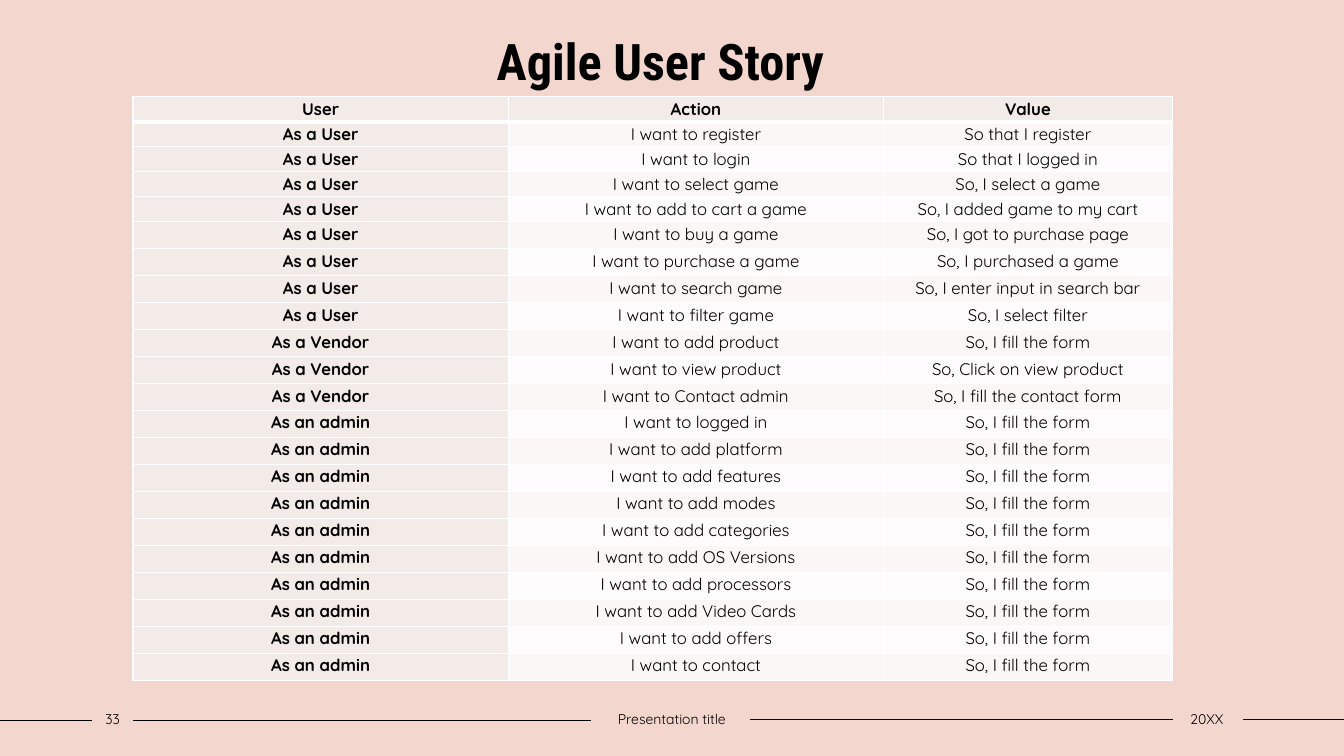
from typing import NamedTuple

from lxml.etree import SubElement
from pptx import Presentation
from pptx.dml.color import RGBColor
from pptx.enum.shapes import MSO_CONNECTOR
from pptx.enum.text import MSO_ANCHOR, MSO_AUTO_SIZE, PP_ALIGN
from pptx.oxml.ns import qn
from pptx.util import Cm, Pt

BODY_FONT = "Quicksand"
TITLE_FONT = "Roboto Condensed"
BLACK, WHITE, PINK = "000000", "FFFFFF", "F3D6CD"
HEADING_FILL = "F3EBE8"
BAND_FILLS = ("FDFBFB", "FAF7F6")
FORM = "So, I fill the form"


class Story(NamedTuple):
    user: str
    action: str
    value: str


class FooterLine(NamedTuple):
    start: float
    end: float
    y: float


class Label(NamedTuple):
    text: str
    left: float
    top: float
    width: float
    height: float
    size: float
    font: str = BODY_FONT
    bold: bool = False


HEADER = Story("User", "Action", "Value")
USER_STORIES = [
    Story("As a User", action, value)
    for action, value in (
        ("I want to register", "So that I register"),
        ("I want to login", "So that I logged in"),
        ("I want to select game", "So, I select a game"),
        ("I want to add to cart a game", "So, I added game to my cart"),
        ("I want to buy a game", "So, I got to purchase page"),
        ("I want to purchase a game", "So, I purchased a game"),
        ("I want to search game", "So, I enter input in search bar"),
        ("I want to filter game", "So, I select filter"),
    )
]
VENDOR_STORIES = [
    Story("As a Vendor", "I want to add product", FORM),
    Story("As a Vendor", "I want to view product", "So, Click on view product"),
    Story("As a Vendor", "I want to Contact admin", "So, I fill the contact form"),
]
ADMIN_STORIES = [
    Story("As an admin", f"I want to {task}", FORM)
    for task in (
        "logged in", "add platform", "add features", "add modes", "add categories",
        "add OS Versions", "add processors", "add Video Cards", "add offers", "contact",
    )
]
ROWS = [HEADER, *USER_STORIES, *VENDOR_STORIES, *ADMIN_STORIES]

COLUMN_WIDTHS = (9.46, 9.46, 7.27)
COMPACT_ROWS = 5
COMPACT_HEIGHT, ROW_HEIGHT = 0.63, 0.68

FOOTER_LINES = (
    FooterLine(0, 2.33, 18.15),
    FooterLine(3.35, 14.9, 18.15),
    FooterLine(18.9, 29.56, 18.13),
    FooterLine(31.32, 33.87, 18.13),
)
FOOTER_LABELS = (
    Label("33", 2.33, 17.78, 1.02, 0.69, 10),
    Label("Presentation title", 14.9, 17.78, 4.06, 0.69, 10),
    Label("20XX", 29.52, 17.78, 1.78, 0.69, 10),
)
TITLE = Label("Agile User Story", 2, 0.64, 29.29, 1.8, 36, TITLE_FONT, True)


def color(value: str) -> RGBColor:
    return RGBColor.from_string(value)


def style_paragraph(paragraph, size: float, font: str, bold: bool) -> None:
    paragraph.alignment = PP_ALIGN.CENTER
    paragraph.font.size = Pt(size)
    paragraph.font.name = font
    paragraph.font.bold = bold
    paragraph.font.color.rgb = color(BLACK)


def add_label(slide, label: Label):
    box = slide.shapes.add_textbox(
        Cm(label.left), Cm(label.top), Cm(label.width), Cm(label.height))
    frame = box.text_frame
    frame.word_wrap = True
    frame.text = label.text
    style_paragraph(frame.paragraphs[0], label.size, label.font, label.bold)
    return frame


def add_footer_line(slide, line: FooterLine) -> None:
    connector = slide.shapes.add_connector(
        MSO_CONNECTOR.STRAIGHT, Cm(line.start), Cm(line.y), Cm(line.end), Cm(line.y))
    connector.line.color.rgb = color(BLACK)
    connector.line.width = Pt(1)
    SubElement(connector._element.spPr, qn("a:effectLst"))


def add_borders(cell, top: float, bottom: float) -> None:
    properties = cell._tc.get_or_add_tcPr()
    for side, width in (("L", 1), ("R", 1), ("T", top), ("B", bottom)):
        border = SubElement(properties, qn(f"a:ln{side}"), w=str(Pt(width)))
        fill = SubElement(border, qn("a:solidFill"))
        SubElement(fill, qn("a:srgbClr"), val=WHITE)


def fill_cell(cell, text: str, row: int, column: int) -> None:
    heading = row == 0 or column == 0
    # Borders come before the fill in the cell properties
    add_borders(cell, top=3 if row == 1 else 1, bottom=3 if row == 0 else 1)
    cell.fill.solid()
    cell.fill.fore_color.rgb = color(HEADING_FILL if heading else BAND_FILLS[row % 2])
    cell.margin_left = cell.margin_right = Cm(0.13)
    cell.margin_top = cell.margin_bottom = 0
    cell.text = text
    paragraph = cell.text_frame.paragraphs[0]
    paragraph.line_spacing = 1.07
    paragraph.space_after = Pt(8)
    style_paragraph(paragraph, 12, BODY_FONT, heading)


def add_story_table(slide) -> None:
    heights = [COMPACT_HEIGHT if row < COMPACT_ROWS else ROW_HEIGHT
               for row in range(len(ROWS))]
    table = slide.shapes.add_table(
        len(ROWS), len(COLUMN_WIDTHS), Cm(3.35), Cm(2.44),
        Cm(sum(COLUMN_WIDTHS)), Cm(sum(heights))).table
    table.first_row = table.horz_banding = False
    for column, width in zip(table.columns, COLUMN_WIDTHS):
        column.width = Cm(width)
    for row, (story, height) in enumerate(zip(ROWS, heights)):
        table.rows[row].height = Cm(height)
        for column, text in enumerate(story):
            fill_cell(table.cell(row, column), text, row, column)


def main() -> None:
    presentation = Presentation()
    presentation.slide_width, presentation.slide_height = Cm(33.87), Cm(19.05)
    slide = presentation.slides.add_slide(presentation.slide_layouts[6])
    slide.background.fill.solid()
    slide.background.fill.fore_color.rgb = color(PINK)

    # Footer
    for line in FOOTER_LINES:
        add_footer_line(slide, line)
    for label in FOOTER_LABELS:
        frame = add_label(slide, label)
        frame.vertical_anchor = MSO_ANCHOR.MIDDLE
        frame.margin_left = frame.margin_right = 0

    # Title and user stories
    add_label(slide, TITLE).auto_size = MSO_AUTO_SIZE.SHAPE_TO_FIT_TEXT
    add_story_table(slide)

    presentation.save("out.pptx")


if __name__ == "__main__":
    main()
